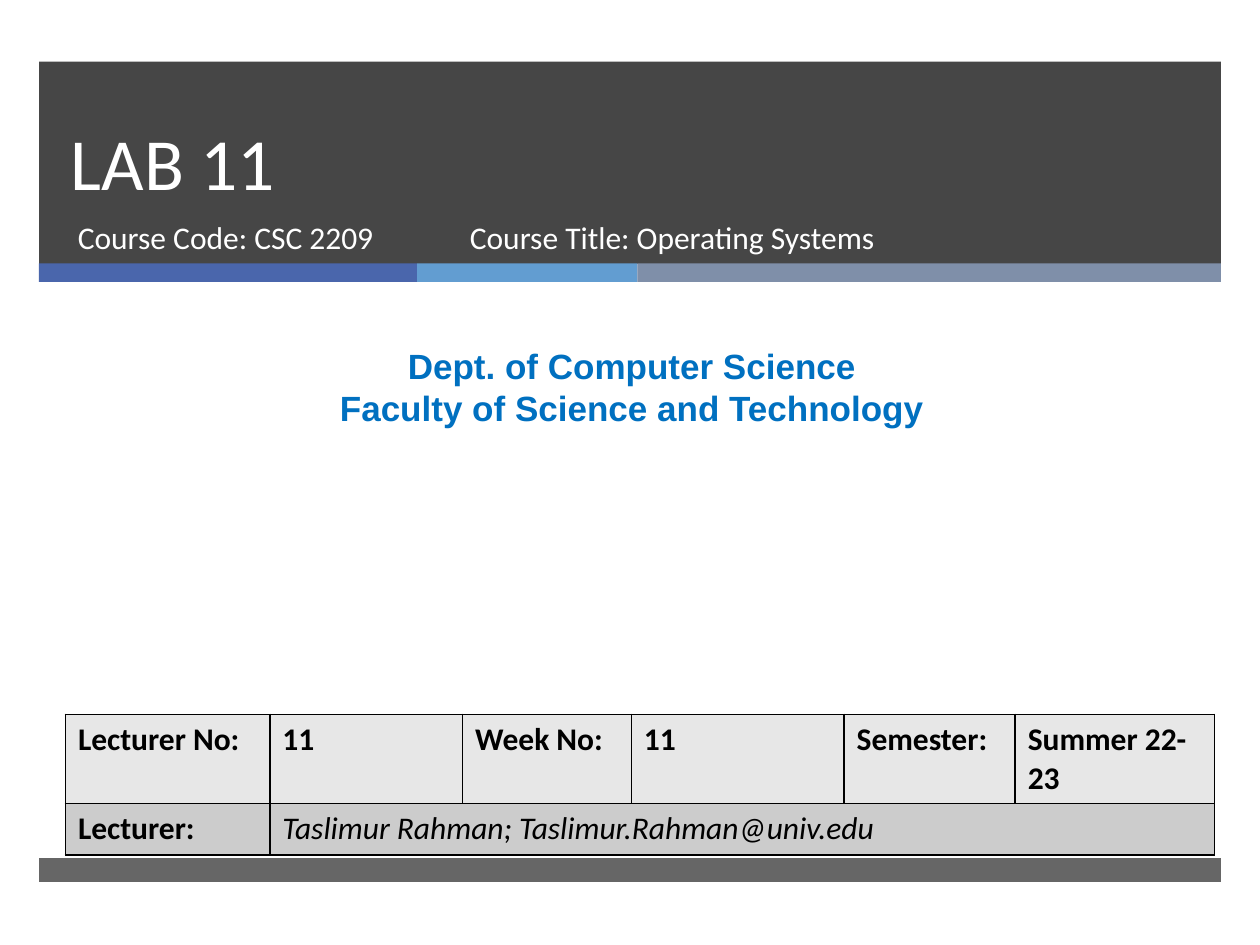
from dataclasses import dataclass
from typing import Optional

from lxml import etree
from pptx import Presentation
from pptx.dml.color import RGBColor
from pptx.enum import shapes, text
from pptx.oxml import ns
from pptx.util import Pt

WHITE = RGBColor(0xFF, 0xFF, 0xFF)
BLACK = RGBColor(0, 0, 0)
DARK = RGBColor(0x26, 0x26, 0x26)
INDIGO = RGBColor(0x4A, 0x66, 0xAC)
SKY = RGBColor(0x62, 0x9D, 0xD1)
SLATE = RGBColor(0x7F, 0x8F, 0xA9)
BLUE = RGBColor(0x00, 0x70, 0xC0)
ROW_FILLS = (RGBColor(0xE7, 0xE7, 0xE7), RGBColor(0xCC, 0xCC, 0xCC))


@dataclass
class Band:
    left: float
    top: float
    width: float
    height: float
    color: RGBColor
    alpha: int = 100


@dataclass
class Label:
    left: float
    top: float
    width: float
    height: float
    lines: tuple[str, ...]
    size: float
    color: RGBColor = WHITE
    font: str = "Calibri"
    bold: bool = False
    align: text.PP_ALIGN = text.PP_ALIGN.LEFT
    anchor: text.MSO_ANCHOR = text.MSO_ANCHOR.TOP
    spacing: Optional[float] = None


BANDS = (
    Band(22.3, 35.2, 675.4, 115.6, DARK, 85),
    Band(22.3, 150.5, 216, 10.6, INDIGO),
    Band(238.3, 150.5, 126, 10.6, SKY),
    Band(364.3, 150.5, 333.4, 10.6, SLATE),
    Band(22.3, 490.3, 675.4, 13.7, DARK, 70),
)
LABELS = (
    Label(33.3, 35.2, 615, 85.8, ("LAB 11",), 42,
          anchor=text.MSO_ANCHOR.BOTTOM, spacing=46),
    Label(37.4, 121, 219.6, 38, ("Course Code: CSC 2209",), 18),
    Label(261.4, 121.2, 327.6, 38, ("Course Title: Operating Systems",), 18),
    Label(5.8, 193.2, 710.6, 55.7,
          ("Dept. of Computer Science", "Faculty of Science and Technology"),
          20, BLUE, "Arial", True, text.PP_ALIGN.CENTER),
)
COLUMNS = (116.8, 110.2, 96.4, 121.6, 97.8, 113.8)
ROWS = (51, 29.5)
CELLS = (
    ("Lecturer No:", "11", "Week No:", "11", "Semester:", "Summer 22-23"),
    ("Lecturer:", "Taslimur Rahman; Taslimur.Rahman@univ.edu", "", "", "", ""),
)


def style(p, size: float, font: str, color: RGBColor, bold: bool, italic: bool = False) -> None:
    p.font.size = Pt(size)
    p.font.name = font
    p.font.color.rgb = color
    p.font.bold = bold
    p.font.italic = italic


def add_band(s, band: Band) -> None:
    sp = s.shapes.add_shape(shapes.MSO_SHAPE.RECTANGLE, Pt(band.left), Pt(band.top),
                            Pt(band.width), Pt(band.height))
    sp.shadow.inherit = False
    sp.line.fill.background()
    sp.fill.solid()
    sp.fill.fore_color.rgb = band.color
    if band.alpha < 100:
        color = sp.fill._xPr.find(".//" + ns.qn("a:srgbClr"))
        etree.SubElement(color, ns.qn("a:alpha"), val=str(band.alpha * 1000))


def add_label(s, label: Label) -> None:
    sp = s.shapes.add_textbox(Pt(label.left), Pt(label.top), Pt(label.width), Pt(label.height))
    tf = sp.text_frame
    tf.word_wrap = True
    tf.vertical_anchor = label.anchor
    tf.text = "\n".join(label.lines)
    for p in tf.paragraphs:
        p.alignment = label.align
        if label.spacing:
            p.line_spacing = Pt(label.spacing)
        style(p, label.size, label.font, label.color, label.bold)


def add_borders(cell) -> None:
    pr = cell._tc.get_or_add_tcPr()
    for i, side in enumerate(("lnL", "lnR", "lnT", "lnB")):
        ln = etree.Element(ns.qn("a:" + side), w=str(Pt(1)))
        fill = etree.SubElement(ln, ns.qn("a:solidFill"))
        etree.SubElement(fill, ns.qn("a:srgbClr"), val=str(BLACK))
        pr.insert(i, ln)


def add_details(s) -> None:
    table = s.shapes.add_table(len(ROWS), len(COLUMNS), Pt(37.4), Pt(408.2),
                               Pt(sum(COLUMNS)), Pt(sum(ROWS))).table
    for column, width in zip(table.columns, COLUMNS):
        column.width = Pt(width)
    for row, height in zip(table.rows, ROWS):
        row.height = Pt(height)
    table.cell(1, 1).merge(table.cell(1, len(COLUMNS) - 1))
    for r, words in enumerate(CELLS):
        for c, word in enumerate(words):
            cell = table.cell(r, c)
            cell.fill.solid()
            cell.fill.fore_color.rgb = ROW_FILLS[r]
            add_borders(cell)
            if word:
                cell.text = word
                italic = (r, c) == (1, 1)
                style(cell.text_frame.paragraphs[0], 18, "Calibri", BLACK, not italic, italic)


prs = Presentation()
prs.slide_width, prs.slide_height = Pt(720), Pt(540)
s = prs.slides.add_slide(prs.slide_layouts[6])
for band in BANDS:
    add_band(s, band)
for label in LABELS:
    add_label(s, label)
add_details(s)
prs.save("out.pptx")
